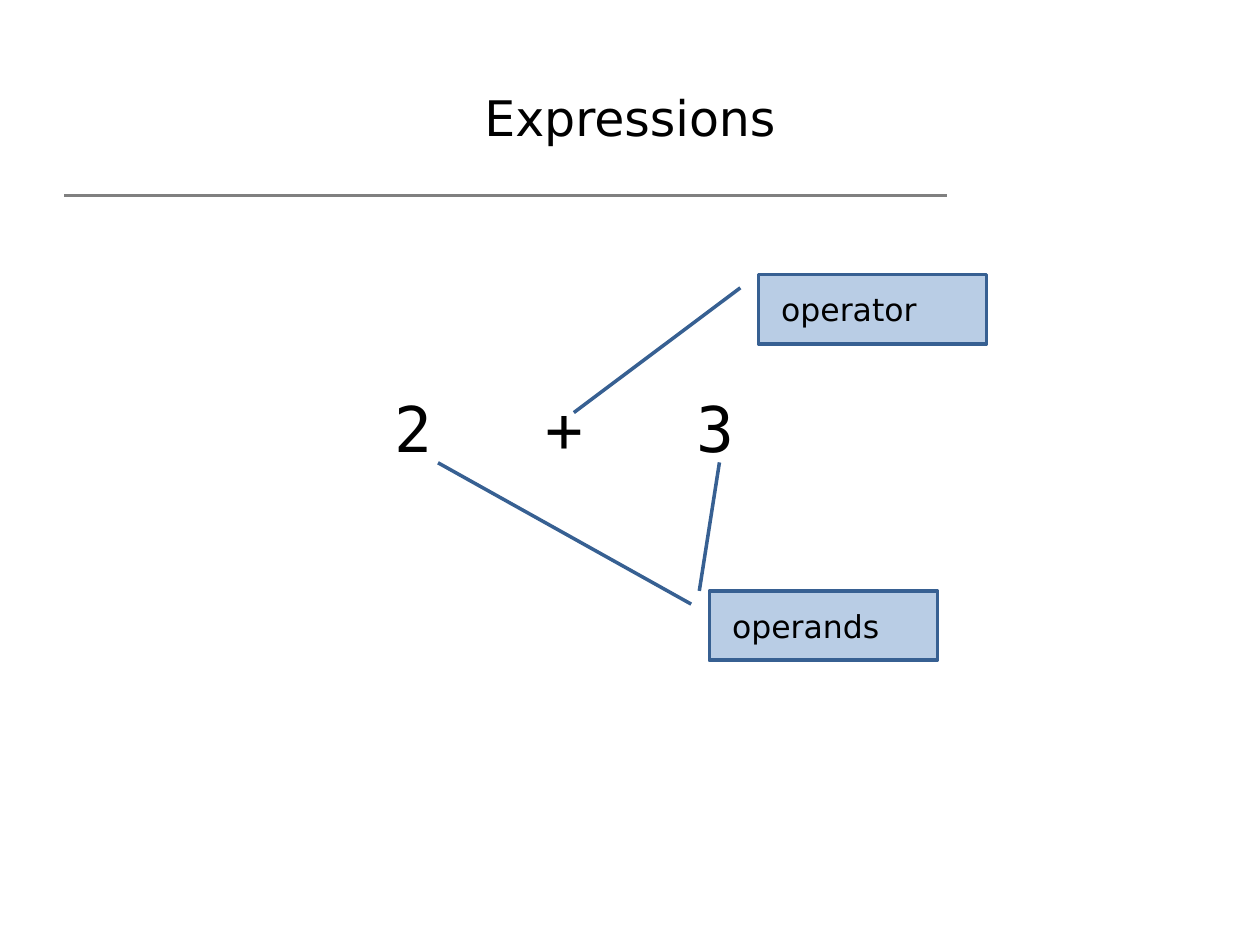
from lxml.etree import SubElement
from pptx import Presentation
from pptx.dml.color import RGBColor
from pptx.enum.shapes import MSO_CONNECTOR, MSO_SHAPE
from pptx.enum.text import MSO_ANCHOR, PP_ALIGN
from pptx.oxml.ns import qn
from pptx.util import Inches, Pt

BLACK = RGBColor(0x00, 0x00, 0x00)
GRAY = RGBColor(0x80, 0x80, 0x80)
BLUE = RGBColor(0x37, 0x60, 0x92)
LIGHT_BLUE = RGBColor(0xB9, 0xCD, 0xE5)
SANS = "DejaVu Sans"
MONO = "DejaVu Sans Mono"


def write(p, text, size, font=SANS, align=PP_ALIGN.LEFT):
    p.text = text
    p.alignment = align
    p.font.name = font
    p.font.size = Pt(size)
    p.font.color.rgb = BLACK


def add_line(slide, start, end, color, width):
    line = slide.shapes.add_connector(
        MSO_CONNECTOR.STRAIGHT, *map(Inches, start + end))
    line.line.color.rgb = color
    line.line.width = Pt(width)
    SubElement(line._element.spPr, qn("a:effectLst"))


def add_title(slide, box, text):
    tf = slide.shapes.add_textbox(*map(Inches, box)).text_frame
    tf.word_wrap = True
    tf.vertical_anchor = MSO_ANCHOR.MIDDLE
    write(tf.paragraphs[0], text, 28, align=PP_ALIGN.CENTER)


def add_expression(slide, box, tokens, step):
    """Set the tokens on tab stops that lie one step apart."""
    tf = slide.shapes.add_textbox(*map(Inches, box)).text_frame
    tf.word_wrap = True
    p = tf.paragraphs[0]
    tabs = SubElement(p._p.get_or_add_pPr(), qn("a:tabLst"))
    for i in range(1, len(tokens)):
        SubElement(tabs, qn("a:tab"), pos=str(Inches(i * step)), algn="l")
    write(p, "\t".join(tokens), 36, MONO)


def add_callout(slide, box, text, tip):
    """Add a label whose leader ends at tip, given as (y, x) shares of the box."""
    sp = slide.shapes.add_shape(MSO_SHAPE.LINE_CALLOUT_1, *map(Inches, box))
    for i, value in enumerate((0.19, -0.08) + tip):
        sp.adjustments[i] = value
    sp.shadow.inherit = False
    sp.fill.solid()
    sp.fill.fore_color.rgb = LIGHT_BLUE
    sp.line.color.rgb = BLUE
    sp.line.width = Pt(2)
    tf = sp.text_frame
    tf.margin_left = Inches(0.18)
    tf.vertical_anchor = MSO_ANCHOR.MIDDLE
    write(tf.paragraphs[0], text, 18)


def main():
    prs = Presentation()
    prs.slide_width, prs.slide_height = Inches(10), Inches(7.5)
    slide = prs.slides.add_slide(prs.slide_layouts[6])
    add_line(slide, (0.51, 1.55), (7.52, 1.55), GRAY, 1.75)
    add_title(slide, (0.5, 0.3, 9, 1.25), "Expressions")
    add_expression(slide, (3.03, 3.04, 3.01, 0.71), ("2", "+", "3"), 1.2)
    add_callout(slide, (6.02, 2.18, 1.81, 0.55), "operator", (1.99, -0.81))
    add_callout(slide, (5.63, 4.69, 1.81, 0.55), "operands", (-1.85, -1.19))
    add_line(slide, (5.71, 3.67), (5.55, 4.69), BLUE, 2)
    prs.save("out.pptx")


if __name__ == "__main__":
    main()
